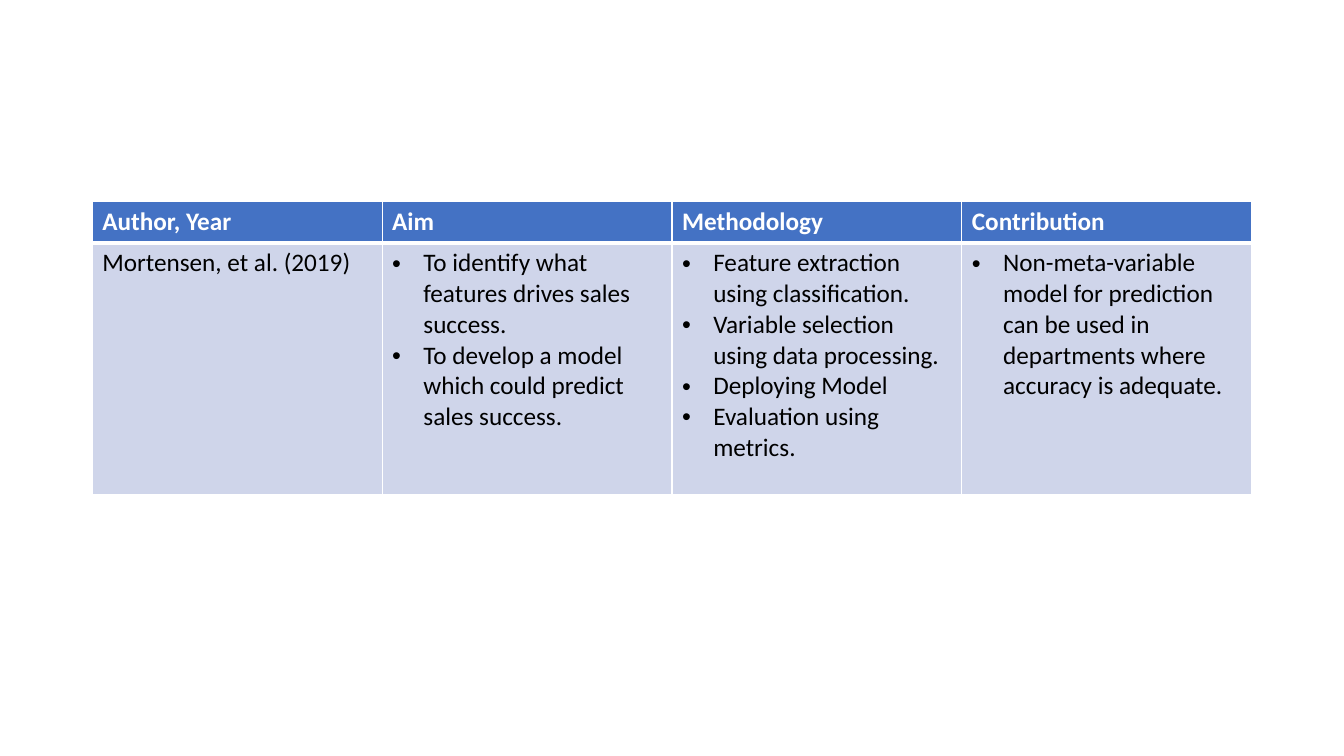
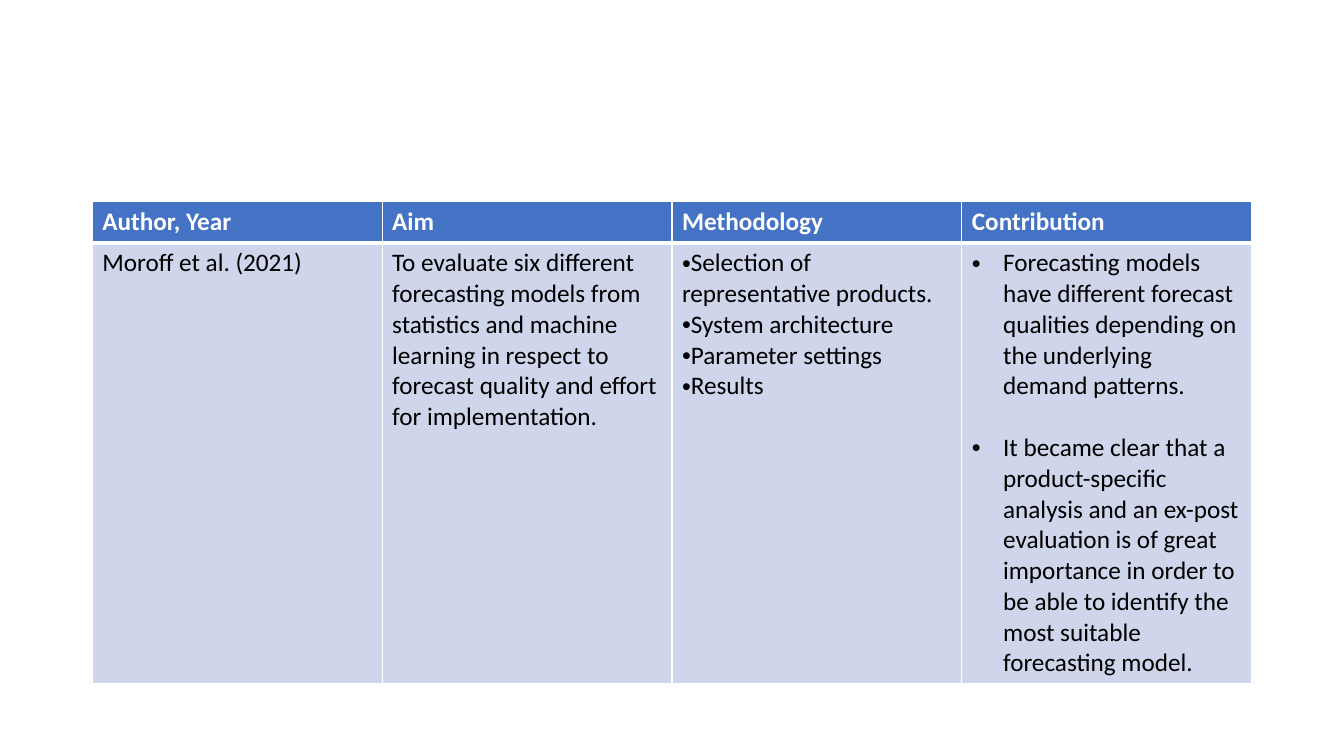
"""Build two literature review slides, each with one study in a four-column table."""
from dataclasses import dataclass

from lxml.etree import SubElement
from pptx import Presentation
from pptx.dml.color import RGBColor
from pptx.oxml.ns import qn
from pptx.slide import Slide
from pptx.table import _Cell as Cell
from pptx.util import Inches, Pt

WHITE = RGBColor(0xFF, 0xFF, 0xFF)
BLACK = RGBColor(0x00, 0x00, 0x00)
HEADER_BLUE = RGBColor(0x44, 0x72, 0xC4)
BODY_BLUE = RGBColor(0xCF, 0xD5, 0xEA)

FONT = "Calibri"
TEXT_SIZE = Pt(18)
SLIDE_WIDTH, SLIDE_HEIGHT = Inches(13.33), Inches(7.5)
TABLE_WIDTH = Inches(11.5)
TABLE_LEFT = (SLIDE_WIDTH - TABLE_WIDTH) // 2
TABLE_TOP = Inches(2)
HEADER_HEIGHT = Inches(0.41)
HANGING = Inches(0.31)
THIN, THICK = Pt(1), Pt(3)
HEADINGS = ("Author, Year", "Aim", "Methodology", "Contribution")


@dataclass(frozen=True)
class Entry:
    """Text of one body cell and how its paragraphs are set."""
    lines: tuple[str, ...]
    bulleted: bool = True
    hanging: int = HANGING
    gap: int = 0


@dataclass(frozen=True)
class Study:
    """One reviewed study, with an entry for each heading."""
    entries: tuple[Entry, ...]
    height: int


STUDIES = (
    Study((
        Entry(("Mortensen, et al. (2019)",), bulleted=False),
        Entry(("To identify what features drives sales success.",
               "To develop a model which could predict sales success.")),
        Entry(("Feature extraction using classification.",
               "Variable selection using data processing.",
               "Deploying Model",
               "Evaluation using metrics.")),
        Entry(("Non-meta-variable model for prediction can be used in "
               "departments where accuracy is adequate.",)),
    ), Inches(2.5)),
    Study((
        Entry(("Moroff et al. (2021)",), bulleted=False),
        Entry(("To evaluate six different forecasting models from statistics "
               "and machine learning in respect to forecast quality and "
               "effort for implementation.",), bulleted=False),
        Entry(("Selection of representative products.",
               "System architecture",
               "Parameter settings",
               "Results"), hanging=0),
        Entry(("Forecasting models have different forecast qualities "
               "depending on the underlying demand patterns.",
               "It became clear that a product-specific analysis and an "
               "ex-post evaluation is of great importance in order to be able "
               "to identify the most suitable forecasting model."), gap=Pt(22)),
    ), Inches(4.3)),
)


def set_borders(cell: Cell, top: int, bottom: int) -> None:
    """Give a cell white borders, thin at the sides."""
    properties = cell._tc.get_or_add_tcPr()
    for side, width in (("L", THIN), ("R", THIN), ("T", top), ("B", bottom)):
        line = SubElement(properties, qn(f"a:ln{side}"), w=str(width))
        fill = SubElement(line, qn("a:solidFill"))
        SubElement(fill, qn("a:srgbClr"), val=str(WHITE))


def fill_cell(cell: Cell, entry: Entry, header: bool = False) -> None:
    """Write an entry into a cell in the header or body style."""
    set_borders(cell, THIN if header else THICK, THICK if header else THIN)
    cell.fill.solid()
    cell.fill.fore_color.rgb = HEADER_BLUE if header else BODY_BLUE
    cell.text_frame.text = "\n".join(entry.lines)
    for index, paragraph in enumerate(cell.text_frame.paragraphs):
        if index and entry.gap:
            paragraph.space_before = entry.gap
        if entry.bulleted:
            properties = paragraph._p.get_or_add_pPr()
            properties.set("marL", str(entry.hanging))
            properties.set("indent", str(-entry.hanging))
            SubElement(properties, qn("a:buFont"), typeface="Arial")
            SubElement(properties, qn("a:buChar"), char="•")
        for run in paragraph.runs:
            run.font.name = FONT
            run.font.size = TEXT_SIZE
            run.font.bold = header
            run.font.color.rgb = WHITE if header else BLACK


def add_review(slide: Slide, study: Study) -> None:
    """Draw the review table of one study."""
    review = slide.shapes.add_table(
        2, len(HEADINGS), TABLE_LEFT, TABLE_TOP, TABLE_WIDTH,
        HEADER_HEIGHT + study.height).table
    review.horz_banding = False
    review.rows[0].height = HEADER_HEIGHT
    review.rows[1].height = study.height
    for column, (heading, entry) in enumerate(zip(HEADINGS, study.entries)):
        review.columns[column].width = TABLE_WIDTH // len(HEADINGS)
        fill_cell(review.cell(0, column), Entry((heading,), bulleted=False), header=True)
        fill_cell(review.cell(1, column), entry)


def main() -> None:
    """Build and save the presentation."""
    deck = Presentation()
    deck.slide_width, deck.slide_height = SLIDE_WIDTH, SLIDE_HEIGHT
    for study in STUDIES:
        add_review(deck.slides.add_slide(deck.slide_layouts[6]), study)
    deck.save("out.pptx")


if __name__ == "__main__":
    main()
